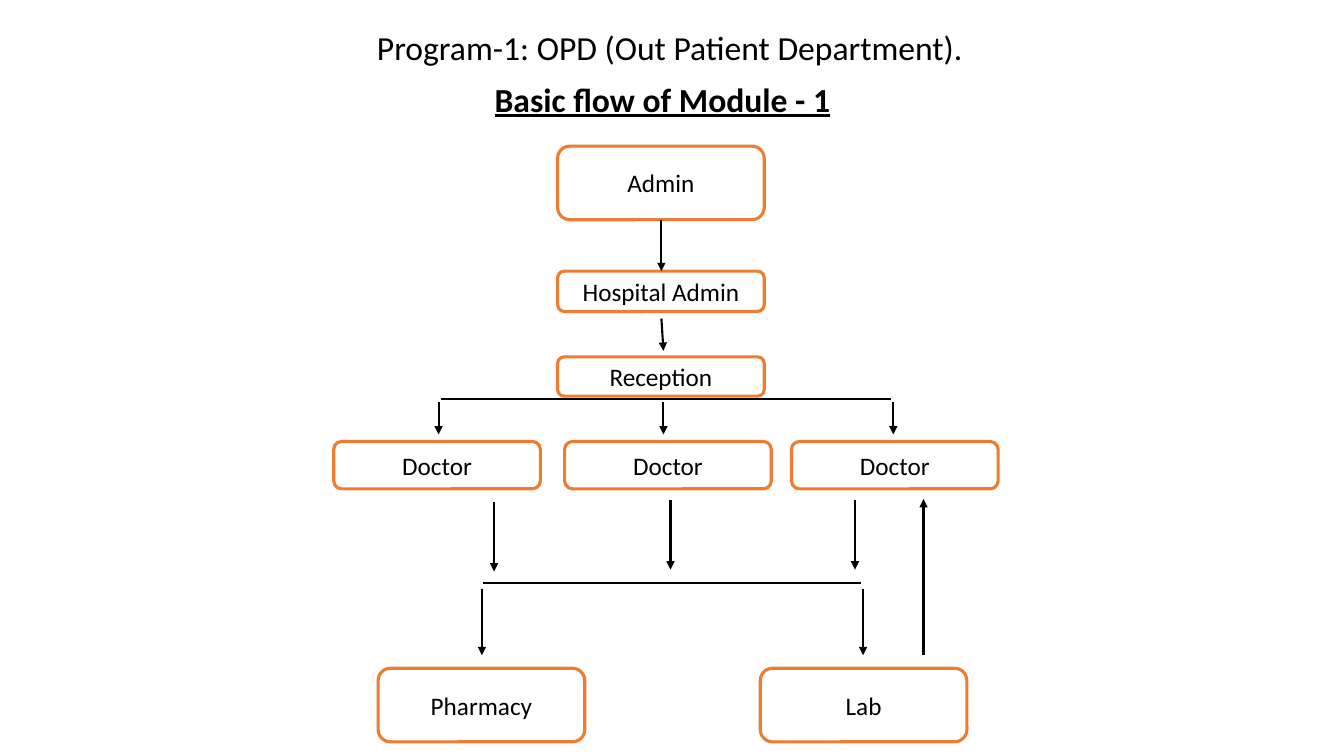
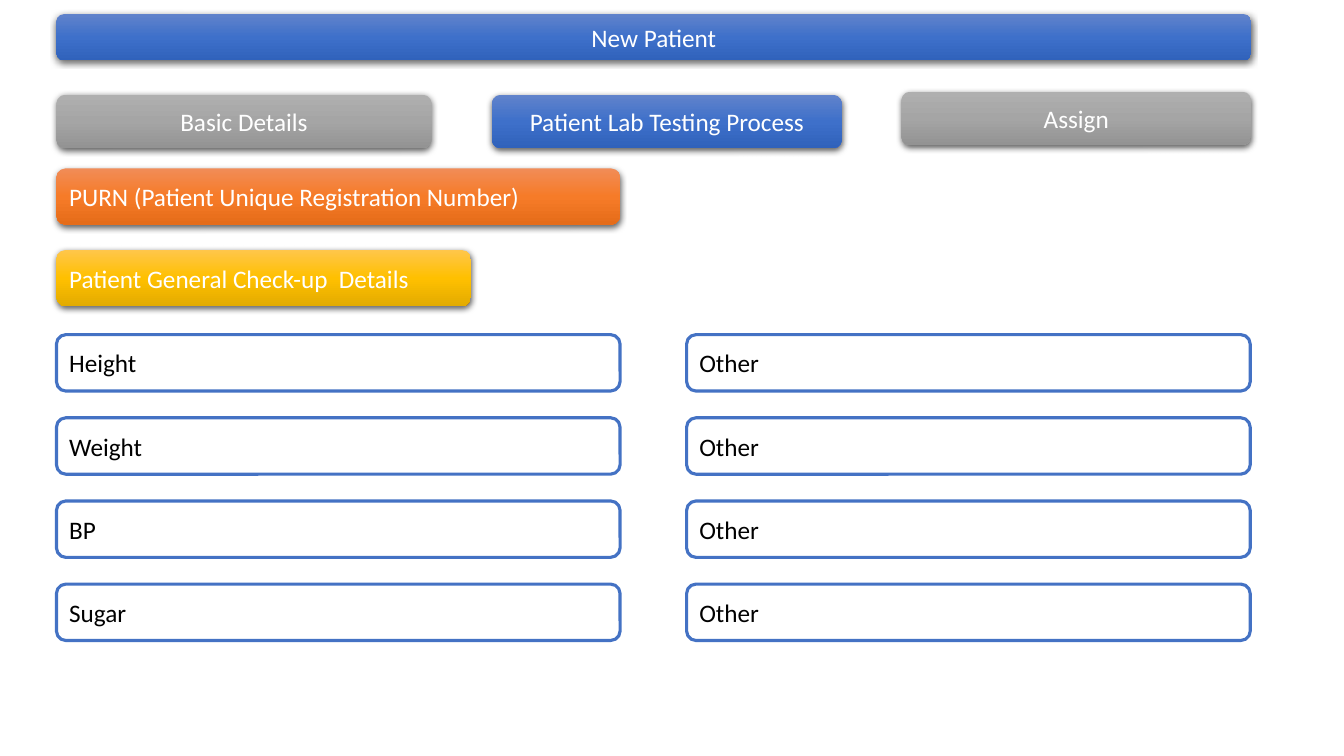
from copy import deepcopy

from lxml import etree
from pptx import Presentation
from pptx.dml.color import RGBColor
from pptx.enum.shapes import MSO_CONNECTOR, MSO_SHAPE
from pptx.enum.text import MSO_ANCHOR, MSO_AUTO_SIZE, PP_ALIGN
from pptx.oxml.ns import qn
from pptx.util import Inches, Pt

ROUND = MSO_SHAPE.ROUNDED_RECTANGLE
STRAIGHT = MSO_CONNECTOR.STRAIGHT
LEFT, CENTER = PP_ALIGN.LEFT, PP_ALIGN.CENTER
MIDDLE = MSO_ANCHOR.MIDDLE
GROW = MSO_AUTO_SIZE.SHAPE_TO_FIT_TEXT

FONT = "Calibri"
COLORS = {"black": "000000", "white": "FFFFFF",
          "orange": "ED7D31", "blue": "4472C4"}
GRADS = {
    "blue": ("6183CB", "3E70CA", "3062BB"),
    "gray": ("AFAFAF", "A5A5A5", "939393"),
    "orange": ("F18C57", "F67B28", "E56C19"),
    "gold": ("FFC64B", "FFC000", "E3AB00"),
}


def color(name):
    return RGBColor.from_string(COLORS[name])


def write(shape, text, size, ink, align):
    frame = shape.text_frame
    frame.word_wrap = True
    frame.text = text
    para = frame.paragraphs[0]
    para.alignment = align
    font = para.runs[0].font
    font.name, font.size = FONT, Pt(size)
    font.color.rgb = color(ink)
    return font


def add_title(slide, box, text, align=LEFT, wrap=True, strong=False):
    shape = slide.shapes.add_textbox(*map(Inches, box))
    font = write(shape, text, 24, "black", align)
    font.bold = font.underline = strong
    shape.text_frame.word_wrap = wrap
    shape.text_frame.auto_size = GROW


def add_round(slide, box, text, ink, align):
    shape = slide.shapes.add_shape(ROUND, *map(Inches, box))
    shape.shadow.inherit = False
    write(shape, text, 18, ink, align)
    shape.text_frame.vertical_anchor = MIDDLE
    return shape


def add_frame(slide, box, text, edge, align=CENTER):
    """White box with a coloured outline."""
    shape = add_round(slide, box, text, "black", align)
    shape.fill.solid()
    shape.fill.fore_color.rgb = color("white")
    shape.line.color.rgb = color(edge)
    shape.line.width = Pt(2.25)


def add_bar(slide, box, text, tone, align=CENTER):
    """Box with a vertical gradient and a soft shadow."""
    shape = add_round(slide, box, text, "white", align)
    shape.line.fill.background()
    shape.fill.gradient()
    shape.fill.gradient_angle = 270
    props = shape.element.spPr
    stops = props.find(".//" + qn("a:gsLst"))
    stops.insert(1, deepcopy(stops[0]))
    for i, stop in enumerate(shape.fill.gradient_stops):
        stop.position = i / 2
        stop.color.rgb = RGBColor.from_string(GRADS[tone][i])
    shade = etree.SubElement(
        props.find(qn("a:effectLst")), qn("a:outerShdw"),
        blurRad=str(Pt(4.5)), dist=str(Pt(1.5)), dir="5400000",
        algn="ctr", rotWithShape="0")
    tint = etree.SubElement(shade, qn("a:srgbClr"), val=COLORS["black"])
    etree.SubElement(tint, qn("a:alpha"), val="63000")


def add_line(slide, start, end, arrow=True):
    line = slide.shapes.add_connector(STRAIGHT, *map(Inches, start + end))
    line.line.color.rgb = color("black")
    line.line.width = Pt(1.5)
    if arrow:
        etree.SubElement(line.line._get_or_add_ln(), qn("a:tailEnd"),
                         type="triangle")
    etree.SubElement(line._element.spPr, qn("a:effectLst"))


def add_nodes(slide, top, high, nodes):
    """One row of flow boxes, given as (left, label)."""
    for left, label in nodes:
        add_frame(slide, (left, top, 2.05, high), label, "orange")


def add_drops(slide, top, long, places):
    for x in places:
        add_line(slide, (x, top), (x, top + long))


def build_flow(slide):
    add_title(slide, (3.64, 0.22, 6.06, 0.5),
              "Program-1: OPD (Out Patient Department).", wrap=False)
    add_title(slide, (4.28, 0.73, 4.58, 0.42), "Basic flow of Module - 1",
              CENTER, strong=True)

    add_nodes(slide, 1.45, 0.73, [(5.53, "Admin")])
    add_nodes(slide, 2.69, 0.4, [(5.53, "Hospital Admin")])
    add_nodes(slide, 3.54, 0.39, [(5.53, "Reception")])
    add_nodes(slide, 4.38, 0.47, [(x, "Doctor") for x in (3.31, 5.6, 7.85)])
    add_nodes(slide, 6.63, 0.73, [(3.75, "Pharmacy"), (7.54, "Lab")])

    add_drops(slide, 2.18, 0.51, [6.56])
    add_line(slide, (6.56, 3.16), (6.58, 3.48))
    add_line(slide, (4.37, 3.96), (8.84, 3.96), arrow=False)
    add_drops(slide, 3.99, 0.32, [4.35, 6.58, 8.86])
    add_drops(slide, 4.98, 0.69, [4.9])
    add_drops(slide, 4.96, 0.69, [6.65, 8.48])
    add_line(slide, (4.79, 5.78), (8.54, 5.78), arrow=False)
    add_drops(slide, 5.84, 0.66, [4.78, 8.56])
    add_line(slide, (9.16, 6.5), (9.16, 4.95))


def add_fields(slide, left, top, labels):
    """A column of form fields at an even pitch."""
    for i, label in enumerate(labels):
        add_frame(slide, (left, top + i * 0.825, 5.59, 0.56), label,
                  "blue", LEFT)


def build_form(slide):
    left, top = 0.56, 3.32
    add_bar(slide, (left, 0.14, 11.85, 0.46), "New Patient", "blue")
    add_bar(slide, (left, 0.94, 3.72, 0.53), "Basic Details", "gray")
    add_bar(slide, (4.88, 0.94, 3.47, 0.53), "Patient Lab Testing Process",
            "blue")
    add_bar(slide, (8.94, 0.91, 3.47, 0.53), "Assign", "gray")
    add_bar(slide, (left, 1.67, 5.59, 0.56),
            "PURN (Patient Unique Registration Number)", "orange", LEFT)
    add_bar(slide, (left, 2.48, 4.11, 0.56),
            "Patient General Check-up  Details", "gold", LEFT)
    add_fields(slide, left, top, ["Height", "Weight", "BP", "Sugar"])
    add_fields(slide, 6.81, top, ["Other"] * 4)


def main():
    deck = Presentation()
    deck.slide_width, deck.slide_height = Inches(13.33), Inches(7.5)
    blank = deck.slide_layouts[6]
    for build in (build_flow, build_form):
        build(deck.slides.add_slide(blank))
    deck.save("out.pptx")


if __name__ == "__main__":
    main()
